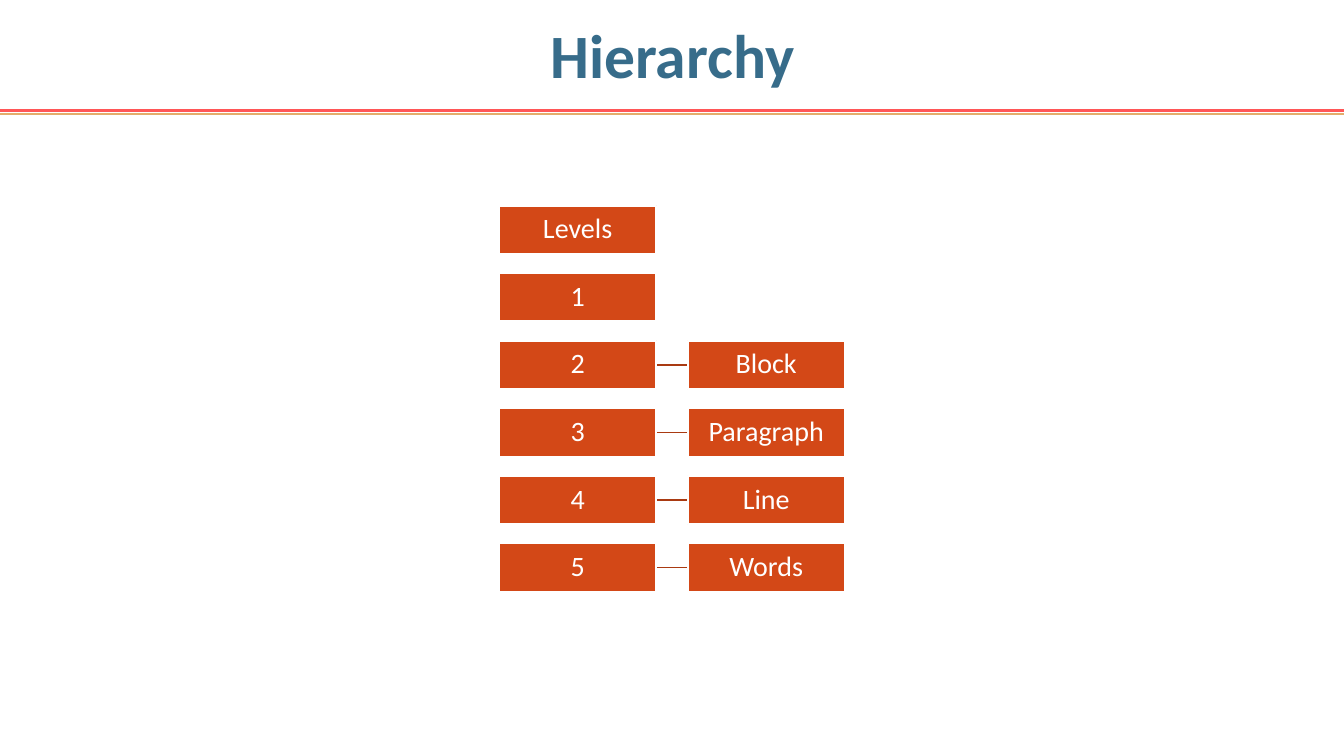
from lxml.etree import SubElement
from pptx import Presentation
from pptx.dml.color import RGBColor
from pptx.enum.shapes import MSO_CONNECTOR as CONN, MSO_SHAPE as SHAPE
from pptx.enum.text import MSO_ANCHOR as ANCHOR, PP_ALIGN as ALIGN
from pptx.oxml.ns import qn
from pptx.util import Inches, Pt


def rgb(value):
    """Turn a hex string into a colour."""
    return RGBColor.from_string(value)


class HierarchySlide:
    """Draws the elements of the hierarchy slide in one style."""

    FONT = "Calibri"
    WHITE, BLUE, ORANGE, RUST = "FFFFFF", "376C8A", "D34817", "A93A12"
    RED, SAND = "FF5657", "E3AD6B"

    def __init__(self, prs):
        """Add a slide with a title placeholder."""
        self.s = prs.slides.add_slide(prs.slide_layouts[5])

    def label(self, sp, text, size, color, bold=False, inset=0.05):
        """Put one centred paragraph into a shape."""
        tf = sp.text_frame
        margin = Inches(inset)
        frame = {"word_wrap": True, "vertical_anchor": ANCHOR.MIDDLE,
                 "margin_left": margin, "margin_right": margin,
                 "margin_top": margin, "margin_bottom": margin}
        for name, value in frame.items():
            setattr(tf, name, value)
        p = tf.paragraphs[0]
        for name, value in {"alignment": ALIGN.CENTER, "line_spacing": 0.9}.items():
            setattr(p, name, value)
        r = p.add_run()
        r.text = text
        for name, value in {"name": self.FONT, "size": Pt(size), "bold": bold}.items():
            setattr(r.font, name, value)
        r.font.color.rgb = rgb(color)

    def title(self, text):
        """Place and fill the title."""
        sp = self.s.shapes.title
        place = {"left": 0.92, "top": 0.07, "width": 11.5, "height": 1.02}
        for name, value in place.items():
            setattr(sp, name, Inches(value))
        self.label(sp, text, 44, self.BLUE, bold=True)

    def rule(self, left, right, y, color, weight):
        """Draw a horizontal line."""
        line = self.s.shapes.add_connector(
            CONN.STRAIGHT, Inches(left), Inches(y), Inches(right), Inches(y))
        line.line.color.rgb = rgb(color)
        line.line.width = Pt(weight)
        SubElement(line._element.spPr, qn("a:effectLst"))

    def box(self, left, top, width, height, text):
        """Draw a labelled rectangle."""
        sp = self.s.shapes.add_shape(
            SHAPE.RECTANGLE, Inches(left), Inches(top), Inches(width), Inches(height))
        sp.shadow.inherit = False
        sp.fill.solid()
        sp.fill.fore_color.rgb = rgb(self.ORANGE)
        sp.line.color.rgb = rgb(self.WHITE)
        sp.line.width = Pt(1.5)
        self.label(sp, text, 20, self.WHITE, inset=0.01)


def main():
    """Build and save the slide."""
    prs = Presentation()
    prs.slide_width, prs.slide_height = Inches(13.33), Inches(7.5)
    slide = HierarchySlide(prs)

    slide.rule(0, 13.33, 1.1, slide.RED, 2)
    slide.rule(0, 13.33, 1.13, slide.SAND, 1.5)
    slide.title("Hierarchy")

    levels = [("Levels", None), ("1", None), ("2", "Block"),
              ("3", "Paragraph"), ("4", "Line"), ("5", "Words")]
    left, top, width, height, gap, pitch = 4.95, 2.04, 1.56, 0.48, 0.31, 0.67
    right = left + width + gap
    for row, (level, unit) in enumerate(levels):
        y = top + row * pitch
        if unit:
            slide.rule(left + width, right, y + height / 2, slide.RUST, 1)
            slide.box(right, y, width, height, unit)
        slide.box(left, y, width, height, level)

    prs.save("out.pptx")


if __name__ == "__main__":
    main()
